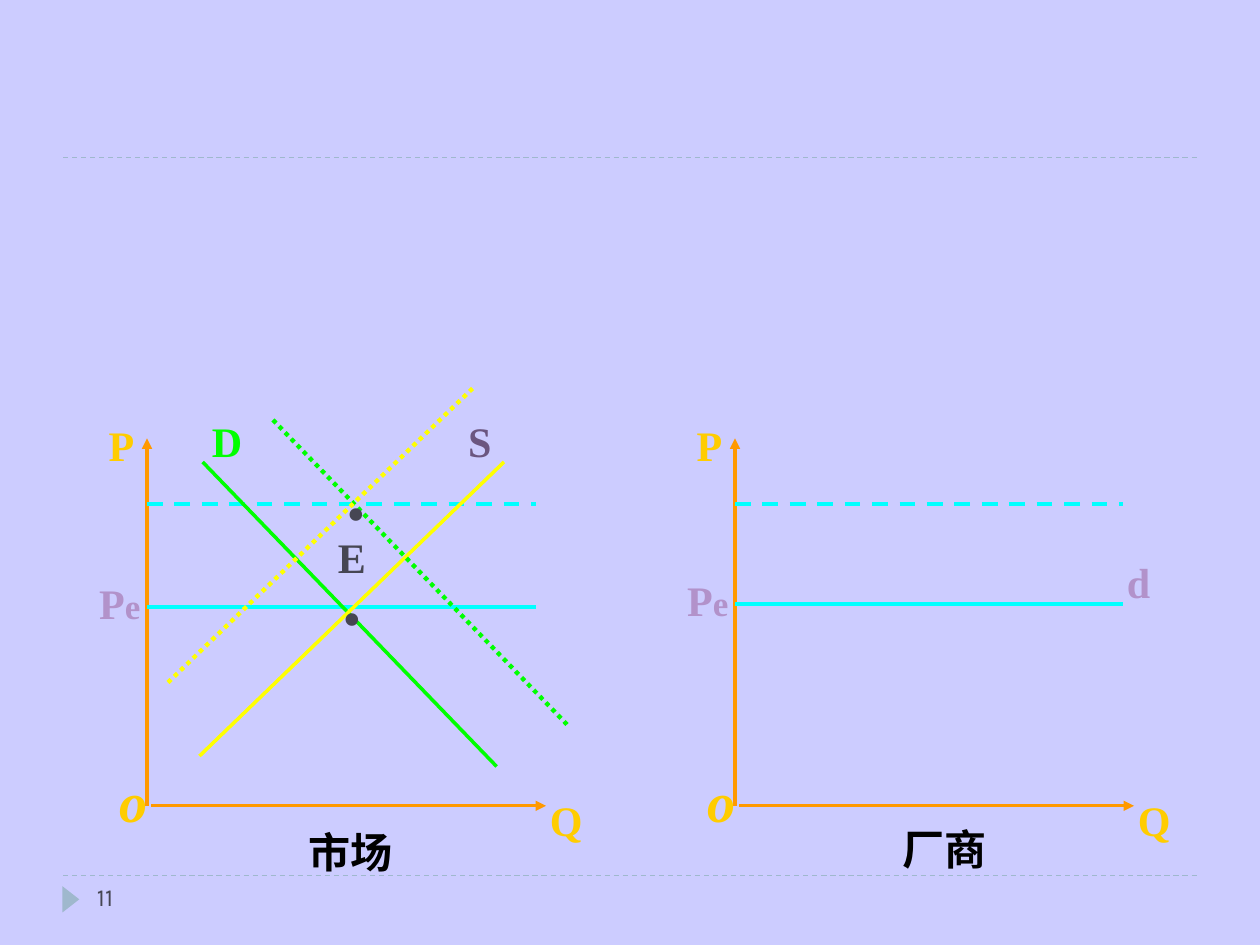
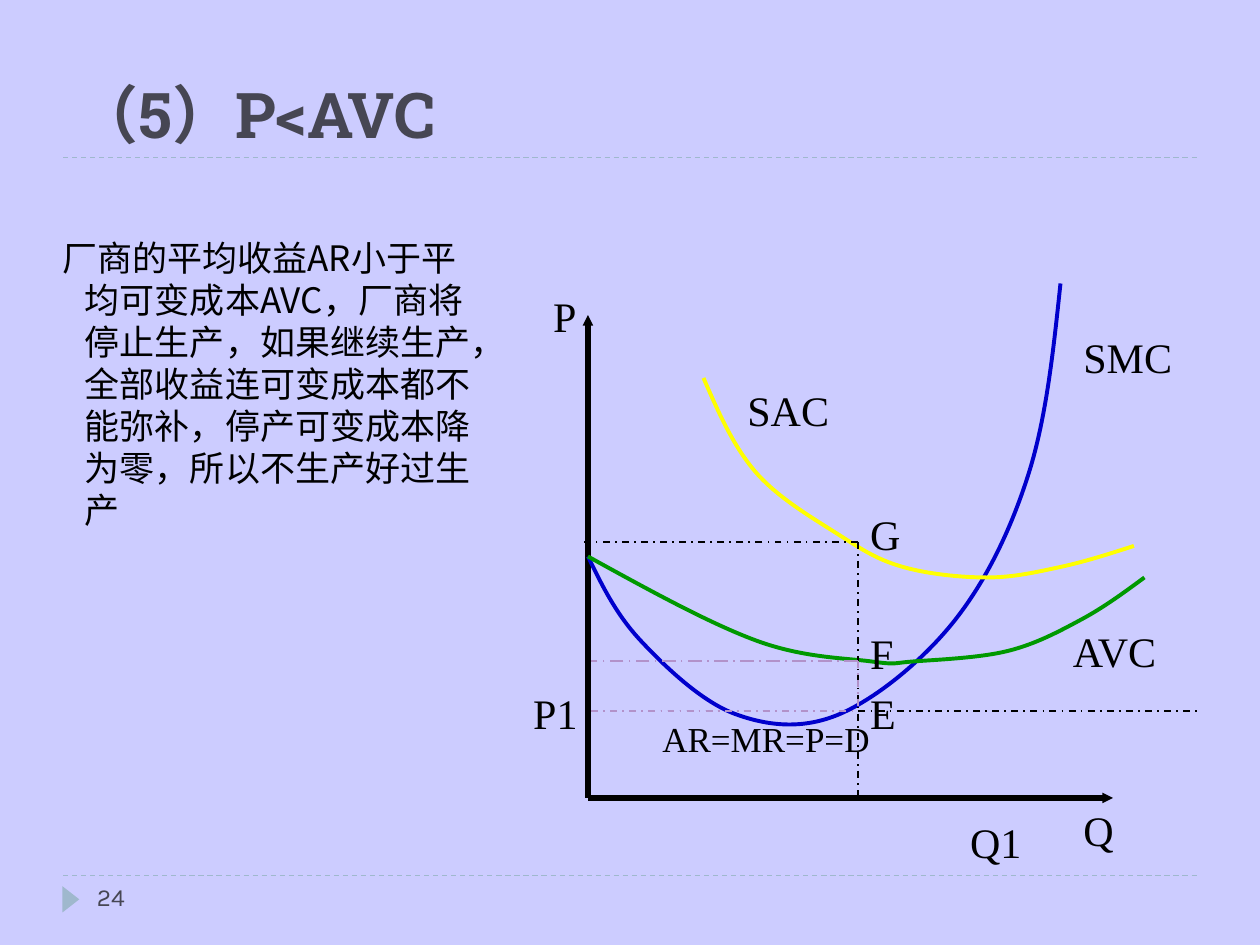
from dataclasses import dataclass
from typing import Any

from lxml import etree
from pptx import Presentation
from pptx.dml.color import RGBColor
from pptx.enum.dml import MSO_LINE_DASH_STYLE as Dash
from pptx.enum.shapes import MSO_CONNECTOR as Conn, MSO_SHAPE as Shape
from pptx.enum.text import MSO_ANCHOR as Anchor, PP_ALIGN as Align
from pptx.oxml.ns import qn
from pptx.util import Inches, Pt

COLS, ROWS = 120, 90
UNIT = Inches(10) / COLS

LAVENDER = RGBColor(0xCC, 0xCC, 0xFF)
MIST = RGBColor(0x9F, 0xB8, 0xCD)
SLATE = RGBColor(0x46, 0x46, 0x53)
ORANGE = RGBColor(0xFF, 0x99, 0x00)
GOLD = RGBColor(0xFF, 0xCC, 0x00)
LIME = RGBColor(0x00, 0xFF, 0x00)
YELLOW = RGBColor(0xFF, 0xFF, 0x00)
CYAN = RGBColor(0x00, 0xFF, 0xFF)
PLUM = RGBColor(0x6B, 0x56, 0x80)
LILAC = RGBColor(0xB2, 0x92, 0xCA)
BLUE = RGBColor(0x00, 0x00, 0xCC)
GREEN = RGBColor(0x00, 0x99, 0x00)
BLACK = RGBColor(0x00, 0x00, 0x00)

SERIF, SANS, CJK = "Times New Roman", "Arial", "Noto Sans CJK SC"
NUMBER_FONT, TITLE_FONT = "Karla", "Roboto Slab"
PLAIN_INSET = (0.1, 0.05, 0.1, 0.05)
AXIS_INSET = (0.28, 0, 0.04, 0.17)


def span(cells):
    return round(cells * UNIT)


def add_run(p, text, size, color, font=SERIF, bold=False, italic=False):
    r = p.add_run()
    r.text = text
    r.font.size = Pt(size)
    r.font.name = font
    r.font.bold = bold
    r.font.italic = italic
    r.font.color.rgb = color
    etree.SubElement(r.font._element, qn("a:ea")).set("typeface", CJK)


@dataclass
class Box:
    shapes: Any
    col: float = 0
    row: float = 0

    def at(self, col, row):
        return span(self.col + col), span(self.row + row)

    def line(self, start, end, color, width, dash=None, arrow=None):
        s = self.shapes.add_connector(Conn.STRAIGHT, *self.at(*start), *self.at(*end))
        s.line.color.rgb = color
        s.line.width = Pt(width)
        if dash:
            s.line.dash_style = dash
        if arrow:
            tail = etree.SubElement(s.line._get_or_add_ln(), qn("a:tailEnd"))
            for key, value in (("type", "triangle"), ("w", arrow), ("len", arrow)):
                tail.set(key, value)
        etree.SubElement(s._element.spPr, qn("a:effectLst"))

    def text(self, text, col, row, width=6, height=6, size=24, color=BLACK,
             align=Align.LEFT, inset=PLAIN_INSET, spacing=None, wrap=False,
             suffix="", suffix_size=20, **style):
        s = self.shapes.add_textbox(*self.at(col, row), span(width), span(height))
        tf = s.text_frame
        tf.word_wrap = wrap
        tf.margin_left, tf.margin_top, tf.margin_right, tf.margin_bottom = map(Inches, inset)
        p = tf.paragraphs[0]
        p.alignment = align
        p.line_spacing = spacing
        add_run(p, text, size, color, **style)
        if suffix:
            add_run(p, suffix, suffix_size, color, **style)
        return s

    def axis_text(self, text, col, row, width, color=GOLD, height=8.8, **style):
        return self.text(text, col, row, width, height, color=color, align=Align.CENTER,
                         inset=AXIS_INSET, spacing=1.4, bold=True, **style)

    def curve(self, knots, color, width=2.25):
        points = [self.at(*point) for point in control_points(knots)]
        builder = self.shapes.build_freeform(*points[0])
        builder.add_line_segments(points[1:], close=False)
        s = builder.convert_to_shape()
        outline = next(s._element.iter(qn("a:path")))
        corners = outline.findall(qn("a:lnTo"))
        for i in range(0, len(corners), 3):
            bend = etree.SubElement(outline, qn("a:cubicBezTo"))
            for corner in corners[i:i + 3]:
                bend.append(corner[0])
                outline.remove(corner)
        s.fill.background()
        s.line.color.rgb = color
        s.line.width = Pt(width)
        s.shadow.inherit = False


def control_points(knots):
    def shift(i, sign):
        return [k + sign * (b - a) / 6 for k, a, b in
                zip(knots[i], knots[i - 1], knots[i + 1])]

    def middle(a, b):
        return [(m + n) / 2 for m, n in zip(a, b)]

    last = len(knots) - 1
    points = [knots[0]]
    for i in range(last):
        start, end = knots[i], knots[i + 1]
        leave = shift(i, 1) if i else None
        arrive = shift(i + 1, -1) if i + 1 < last else middle(leave, end)
        points += [leave or middle(start, arrive), arrive, end]
    return points


def add_frame(slide, number):
    frame = Box(slide.shapes)
    for row in (83.4, 15):
        frame.line((6, row), (114, row), MIST, 0.75, Dash.DASH)
    s = slide.shapes.add_shape(Shape.ISOSCELES_TRIANGLE, *frame.at(5.5, 84.85),
                               span(2.5), span(1.6))
    s.rotation = 90
    s.fill.solid()
    s.fill.fore_color.rgb = MIST
    s.line.fill.background()
    s.shadow.inherit = False
    frame.text(number, 8.05, 83.4, 26, 4.8, size=14, color=SLATE, font=NUMBER_FONT)


def add_title(slide, text):
    s = slide.shapes.title
    s.left, s.top, s.width, s.height = map(span, (6, 2, 108, 13))
    tf = s.text_frame
    tf.vertical_anchor = Anchor.BOTTOM
    p = tf.paragraphs[0]
    p.alignment = Align.LEFT
    add_run(p, text, 36, SLATE, font=TITLE_FONT, bold=True)


def add_price_panel(slide, col, price_row, caption, caption_row, caption_width):
    panel = Box(slide.shapes, col, 37)
    panel.line((9.4, 39.75), (47, 39.75), ORANGE, 1.75, arrow="med")
    panel.line((9, 39.75), (9, 4.75), ORANGE, 1.75, arrow="med")
    panel.axis_text("o", 3, 33.4, 6.5, size=32, italic=True)
    panel.axis_text("Q", 44, 36.75, 7)
    panel.axis_text("P", 2, 1, 6.2)
    panel.line((9, price_row), (46, price_row), CYAN, 2)
    panel.line((9, 11), (46, 11), CYAN, 2.25, Dash.DASH)
    panel.axis_text("P", 0, price_row - 4.75, 9.95, color=LILAC, suffix="e")
    panel.text(caption, 20, caption_row, caption_width, align=Align.CENTER,
               font=SANS, bold=True)
    return panel


def add_market(slide):
    panel = add_price_panel(slide, 5, 20.8, "市场", 41.1, 16.8)
    panel.line((14.3, 7), (42.3, 36), LIME, 2)
    panel.line((14, 35), (43, 7), YELLOW, 2)
    panel.line((21, 3), (49, 32), LIME, 2.5, Dash.ROUND_DOT)
    panel.line((11, 28), (40, 0), YELLOW, 2.5, Dash.ROUND_DOT)
    for name, col, row, color in (("D", 14, 2, LIME), ("S", 38.4, 2, PLUM),
                                  ("E", 26, 13, SLATE)):
        panel.text(name, col, row, 5, color=color, bold=True)
    for col, row in ((24, 13.6), (24.4, 3.6)):
        panel.axis_text("·", col, row, 5.6, color=SLATE, height=14.4, size=44)


def add_firm(slide):
    panel = add_price_panel(slide, 61, 20.55, "厂商", 40.8, 18)
    panel.axis_text("d", 41, 14.05, 10, color=LILAC)


def add_cost_chart(slide):
    chart = Box(slide.shapes, 49, 27)
    for end in ((57, 49), (7, 3)):
        chart.line((7, 49), end, BLACK, 3, arrow="sm")

    chart.curve([(7, 26), (12, 34), (21, 41), (31, 41), (42, 32), (49, 18), (52, 0)], BLUE)
    chart.curve([(7, 26), (23, 34), (34, 36), (38, 36), (47, 35), (54, 32), (60, 28)], GREEN)
    chart.curve([(18, 9), (23, 18), (31, 24), (37, 27), (45, 28), (52, 27), (59, 25)], YELLOW)

    output, left = 32.7, 7.3
    loss_row, avc_row, price_row = 24.6, 35.95, 40.7
    for start, end, color, dash in (
        ((left, price_row), (65.2, price_row), BLACK, Dash.DASH_DOT),
        ((output, loss_row), (output, 49.4), BLACK, Dash.DASH_DOT),
        ((output, loss_row), (6.3, loss_row), BLACK, Dash.DASH_DOT),
        ((output, avc_row), (left, avc_row), LILAC, Dash.LONG_DASH_DOT),
        ((left, price_row), (output, price_row), LILAC, Dash.DASH_DOT),
        ((output, avc_row), (output, price_row), LILAC, Dash.DASH_DOT),
    ):
        chart.line(start, end, color, 1, dash)

    for name, col, row, width in (
        ("P", 2.5, 0.05, 13), ("Q", 53, 49, 8), ("SMC", 53, 4, 12), ("SAC", 21, 9, 15),
        ("AVC", 52, 32, 15), ("P1", 0.6, 37.85, 9.5), ("E", output, 37.85, 8.5),
        ("F", output, 32.2, 3.7), ("G", output, 20.85, 5.6), ("Q1", 42.2, 50.2, 8.5),
    ):
        chart.text(name, col, row, width)
    chart.text("AR=MR=P=D", 12.9, price_row, 25, 5.3, size=20)


def add_argument(slide):
    body = Box(slide.shapes, 3.3, 21.9)
    s = body.text("厂商的平均收益AR小于平均可变成本AVC，厂商将停止生产，如果继续生产，"
                  "全部收益连可变成本都不能弥补，停产可变成本降为零，所以不生产好过生产",
                  0, 0, 43.4, 54, size=20, font=CJK, spacing=Pt(24), wrap=True)
    pPr = s.text_frame.paragraphs[0]._p.get_or_add_pPr()
    pPr.set("marL", str(Inches(0.3)))
    pPr.set("indent", str(-Inches(0.18)))


def build_price_slide(prs):
    slide = prs.slides.add_slide(prs.slide_layouts[6])
    add_frame(slide, "11")
    add_market(slide)
    add_firm(slide)


def build_shutdown_slide(prs):
    slide = prs.slides.add_slide(prs.slide_layouts[5])
    add_frame(slide, "24")
    add_title(slide, "（5）P<AVC")
    add_argument(slide)
    add_cost_chart(slide)


def main():
    prs = Presentation()
    prs.slide_width, prs.slide_height = span(COLS), span(ROWS)
    fill = prs.slide_master.background.fill
    fill.solid()
    fill.fore_color.rgb = LAVENDER
    build_price_slide(prs)
    build_shutdown_slide(prs)
    prs.save("out.pptx")


if __name__ == "__main__":
    main()
